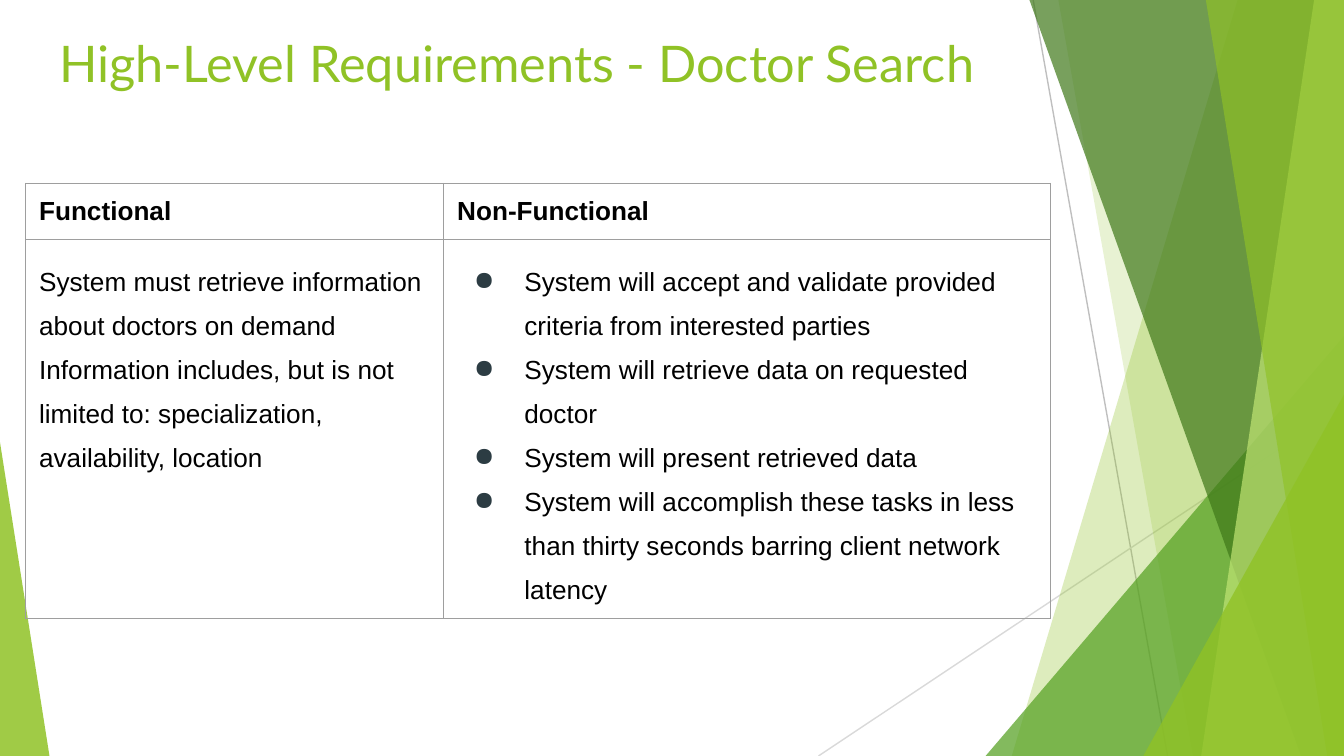
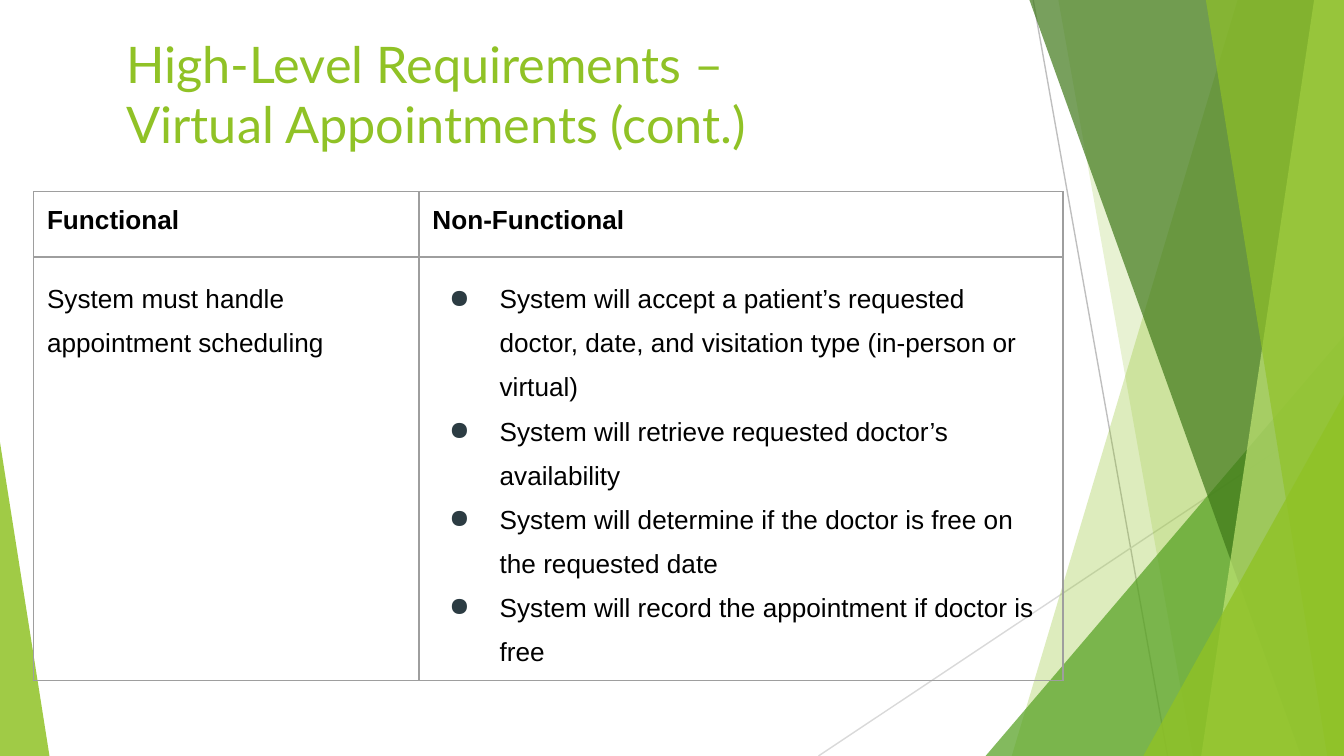
from dataclasses import dataclass

from lxml.etree import SubElement
from pptx import Presentation
from pptx.dml.color import RGBColor
from pptx.enum.shapes import MSO_CONNECTOR, MSO_SHAPE
from pptx.enum.text import MSO_ANCHOR, MSO_AUTO_SIZE, PP_ALIGN
from pptx.oxml.ns import qn
from pptx.util import Pt


@dataclass(frozen=True)
class Theme:
    lime: str = "90C226"
    green: str = "54A021"
    forest: str = "3F7819"
    pale: str = "C0E474"
    dark_rule: str = "BFBFBF"
    light_rule: str = "D9D9D9"
    border: str = "9E9E9E"
    bullet: str = "2C3C43"
    text: str = "000000"
    title_font: str = "Lato"
    body_font: str = "Arial"
    title_size: float = 27
    body_size: float = 14
    rule: float = 0.75
    inset: float = 7.2
    spacing: float = 1.5


THEME = Theme()
PAGE = (0, 0, 720, 405)

RULES = [
    ((553.5, 0), (625.5, 405), THEME.dark_rule),
    ((720, 217.5), (438.5, 405), THEME.light_rule),
]
RIBBONS = [
    ("band", (663, 542), THEME.lime, 30),
    ("band", (567, 639), THEME.lime, 20),
    ("triangle", (528, 180, 192, 225, 1), THEME.green, 72),
    ("band", (551.5, 697), THEME.forest, 70),
    ("band", (704, 643.5), THEME.pale, 70),
    ("band", (646, 711), THEME.lime, 65),
    ("triangle", (612.5, 211.5, 107.5, 193.5, 1), THEME.lime, 80),
    ("triangle", (0, 237, 26.5, 168, 0), THEME.lime, 85),
]

HEADINGS = ["Functional", "Non-Functional"]
SLIDES = [
    dict(
        title=["High-Level Requirements - Doctor Search"],
        title_box=(24.5, 10, 671, 52),
        table_box=(13.75, 98.25, 549, 233),
        first_col=224,
        head_height=30,
        functional=[
            "System must retrieve information about doctors on demand",
            "Information includes, but is not limited to: specialization, "
            "availability, location",
        ],
        non_functional=[
            "System will accept and validate provided criteria from interested parties",
            "System will retrieve data on requested doctor",
            "System will present retrieved data",
            "System will accomplish these tasks in less than thirty seconds "
            "barring client network latency",
        ],
    ),
    dict(
        title=["High-Level Requirements –", "Virtual Appointments (cont.)"],
        title_box=(60.5, 10.5, 749, 73),
        table_box=(18, 102.75, 551.5, 262),
        first_col=206.5,
        head_height=35,
        functional=["System must handle appointment scheduling"],
        non_functional=[
            "System will accept a patient’s requested doctor, date, and "
            "visitation type (in-person or virtual)",
            "System will retrieve requested doctor’s availability",
            "System will determine if the doctor is free on the requested date",
            "System will record the appointment if doctor is free",
        ],
    ),
]


def apply(obj, values):
    for name, value in values.items():
        setattr(obj, name, value)


def style_font(font, name, size, color, bold=False):
    apply(font, dict(name=name, size=Pt(size), bold=bold))
    font.color.rgb = RGBColor.from_string(color)


def solid(parent, color):
    fill = SubElement(parent, qn("a:solidFill"))
    SubElement(fill, qn("a:srgbClr"), val=color)


def insets():
    sides = ("margin_left", "margin_top", "margin_right", "margin_bottom")
    return dict.fromkeys(sides, Pt(THEME.inset))


def add_rule(shapes, start, end, color):
    line = shapes.add_connector(
        MSO_CONNECTOR.STRAIGHT, *(Pt(v) for v in (*start, *end))
    )
    line.line.color.rgb = RGBColor.from_string(color)
    line.line.width = Pt(THEME.rule)
    SubElement(line.element.spPr, qn("a:effectLst"))


def add_band(shapes, box, top_x, bottom_x):
    x, y, w, h = box
    outline = [(x + w, y), (x + w, y + h), (x + bottom_x, y + h)]
    builder = shapes.build_freeform(Pt(x + top_x), Pt(y))
    builder.add_line_segments([(Pt(a), Pt(b)) for a, b in outline], close=True)
    return builder.convert_to_shape()


def add_triangle(shapes, box, left, top, width, height, apex):
    x, y = box[:2]
    sp = shapes.add_shape(
        MSO_SHAPE.ISOSCELES_TRIANGLE,
        *(Pt(v) for v in (x + left, y + top, width, height)),
    )
    sp.adjustments[0] = apex
    return sp


def add_ribbons(shapes, box):
    x, y = box[:2]
    for (x1, y1), (x2, y2), color in RULES:
        add_rule(shapes, (x + x1, y + y1), (x + x2, y + y2), color)
    draw = dict(band=add_band, triangle=add_triangle)
    for kind, geometry, color, opacity in RIBBONS:
        sp = draw[kind](shapes, box, *geometry)
        sp.shadow.inherit = False
        sp.fill.solid()
        sp.fill.fore_color.rgb = RGBColor.from_string(color)
        sp.line.fill.background()
        clr = sp.element.spPr.find(".//" + qn("a:srgbClr"))
        SubElement(clr, qn("a:alpha"), val=str(opacity * 1000))


def move_to_layout(group, layout):
    for ph in list(layout.placeholders):
        if ph.placeholder_format.idx:
            ph.element.getparent().remove(ph.element)
    layout.shapes.element.append(group.element)


def set_title(slide, box, lines):
    sp = slide.shapes.title
    apply(sp, dict(zip(("left", "top", "width", "height"), map(Pt, box))))
    tf = sp.text_frame
    apply(tf, dict(
        insets(), word_wrap=True, auto_size=MSO_AUTO_SIZE.NONE,
        vertical_anchor=MSO_ANCHOR.TOP,
    ))
    p = tf.paragraphs[0]
    p.alignment = PP_ALIGN.LEFT
    for i, line in enumerate(lines):
        if i:
            p.add_line_break()
        r = p.add_run()
        r.text = line
        style_font(r.font, THEME.title_font, THEME.title_size, THEME.lime)


def add_bullet(p):
    pPr = p._p.get_or_add_pPr()
    pPr.set("marL", str(Pt(36)))
    pPr.set("indent", str(-Pt(27)))
    clr = SubElement(pPr, qn("a:buClr"))
    SubElement(clr, qn("a:srgbClr"), val=THEME.bullet)
    SubElement(pPr, qn("a:buChar"), char="●")


def fill_cell(cell, texts, bold=False, bulleted=False, spacing=None):
    apply(cell, insets())
    tcPr = cell._tc.get_or_add_tcPr()
    for side in ("lnL", "lnR", "lnT", "lnB"):
        ln = SubElement(tcPr, qn("a:" + side), w=str(Pt(THEME.rule)))
        solid(ln, THEME.border)
    cell.fill.background()
    tf = cell.text_frame
    for i, text in enumerate(texts):
        p = tf.add_paragraph() if i else tf.paragraphs[0]
        if bulleted:
            add_bullet(p)
        p.line_spacing = spacing
        r = p.add_run()
        r.text = text
        style_font(r.font, THEME.body_font, THEME.body_size, THEME.text, bold)


def add_requirements(slide, box, first_col, head_height, functional, non_functional):
    w, h = box[2:]
    table = slide.shapes.add_table(2, 2, *map(Pt, box)).table
    apply(table, dict(first_row=False, horz_banding=False))
    for col, width in zip(table.columns, (first_col, w - first_col)):
        col.width = Pt(width)
    for row, height in zip(table.rows, (head_height, h - head_height)):
        row.height = Pt(height)
    for c, heading in enumerate(HEADINGS):
        fill_cell(table.cell(0, c), [heading], bold=True)
    for c, texts in enumerate((functional, non_functional)):
        fill_cell(table.cell(1, c), texts, bulleted=c == 1, spacing=THEME.spacing)


def add_requirements_slide(prs, layout, title, title_box, table_box, **content):
    slide = prs.slides.add_slide(layout)
    set_title(slide, title_box, title)
    add_requirements(slide, table_box, **content)
    return slide


def main():
    prs = Presentation()
    apply(prs, dict(slide_width=Pt(PAGE[2]), slide_height=Pt(PAGE[3])))
    layout = prs.slide_layouts[5]
    slides = [add_requirements_slide(prs, layout, **s) for s in SLIDES]
    group = slides[0].shapes.add_group_shape()
    add_ribbons(group.shapes, PAGE)
    move_to_layout(group, layout)
    prs.save("out.pptx")


if __name__ == "__main__":
    main()
